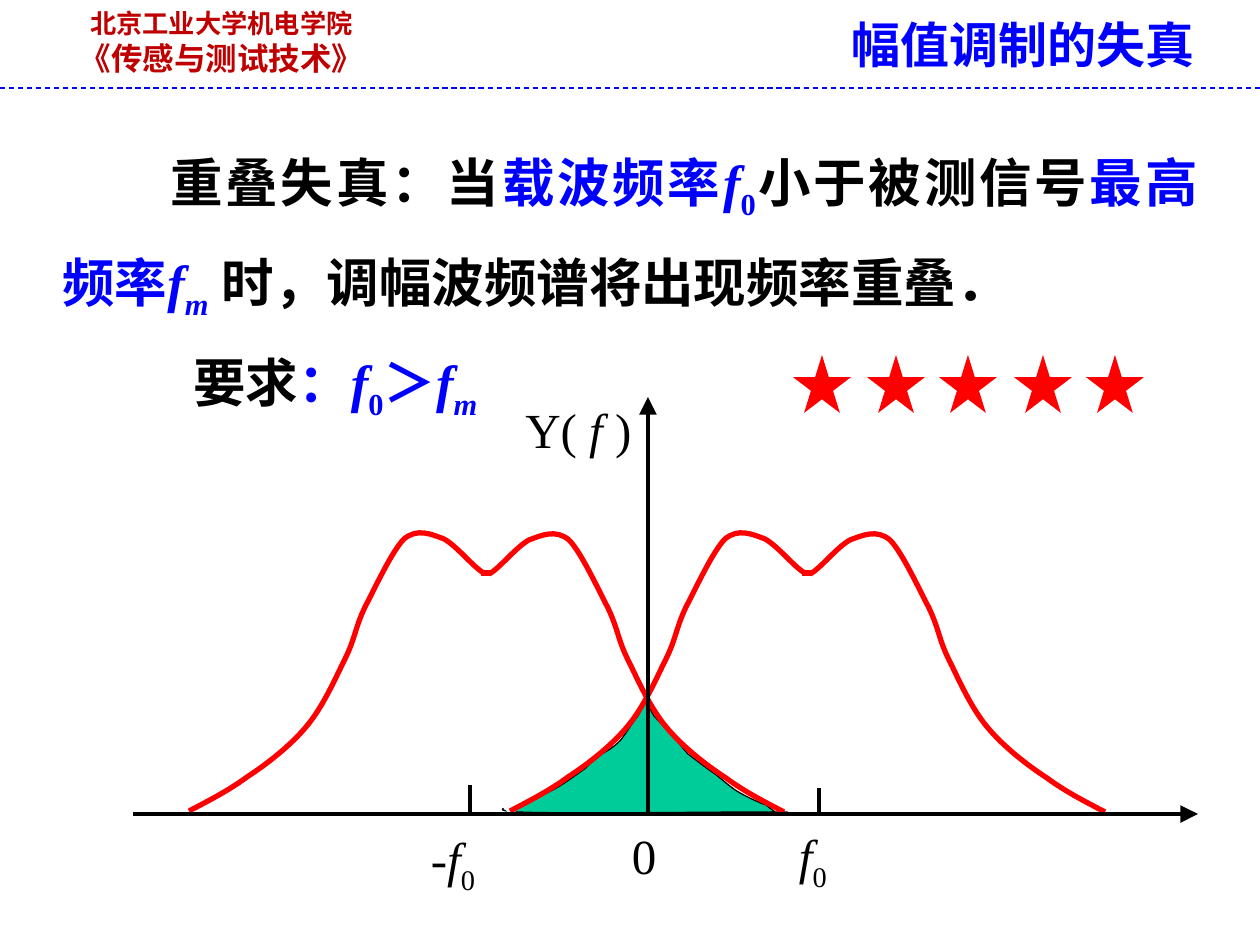
from lxml.etree import SubElement
from pptx import Presentation
from pptx.dml.color import RGBColor
from pptx.enum.dml import MSO_LINE
from pptx.enum.shapes import MSO_CONNECTOR, MSO_SHAPE
from pptx.enum.text import MSO_ANCHOR, MSO_AUTO_SIZE, PP_ALIGN
from pptx.oxml.ns import qn
from pptx.util import Emu, Pt

BLACK, BLUE, RED, WHITE = "000000", "0000FF", "FF0000", "FFFFFF"
DARK_RED, GREEN = "C00000", "00CC99"
LATIN, CHINESE = "Times New Roman", "Noto Sans CJK SC"

# Rising half of one hump: a start point, then three points per Bézier curve
HALF_HUMP = [
    (0, 283), (19, 273), (39, 263), (58, 249), (78, 236), (101, 218), (117, 199),
    (134, 179), (146, 151), (156, 131), (166, 111), (166, 100), (176, 79),
    (186, 60), (203, 23), (215, 11), (228, 0), (242, 6), (255, 11),
    (268, 18), (285, 40), (295, 45)]
OVERLAP = [
    (38, 110), (0, 108), (48, 102), (55, 97), (63, 93), (73, 89), (81, 84),
    (89, 79), (100, 71), (107, 66), (113, 59), (118, 57), (123, 52),
    (130, 48), (135, 45), (141, 39), (146, 33), (154, 20), (159, 14),
    (163, 8), (164, 0), (166, 0), (170, 0), (171, 8), (175, 14),
    (180, 19), (186, 26), (193, 33), (198, 39), (203, 45), (209, 52),
    (217, 58), (227, 66), (236, 72), (244, 78), (252, 86), (261, 91),
    (270, 96), (281, 101), (287, 103), (292, 107), (296, 110), (296, 110),
    (296, 111), (330, 110), (287, 110), (244, 110), (77, 112), (38, 110)]


def px(length):
    return Emu(round(length * 914400 / 126))


def color(value):
    return RGBColor.from_string(value)


def add_span(para, text, size=28, fill=BLACK, bold=False, italic=False,
             sub=False, latin=LATIN):
    span = para.add_run()
    span.text = text
    font = span.font
    font.size, font.bold, font.italic = Pt(size), bold, italic
    font.color.rgb = color(fill)
    font.name = latin
    props = span._r.get_or_add_rPr()
    SubElement(props, qn("a:ea")).set("typeface", CHINESE)
    if sub:
        props.set("baseline", "-25000")


def add_text_box(page, left, top, width, height, tight=False):
    frame = page.shapes.add_textbox(px(left), px(top), px(width), px(height)).text_frame
    frame.word_wrap = not tight
    if tight:
        frame.margin_left = frame.margin_right = frame.margin_top = frame.margin_bottom = 0
    return frame


def add_line(page, start, end, stroke=BLACK, weight=2, dashed=False, arrow=False):
    line = page.shapes.add_connector(
        MSO_CONNECTOR.STRAIGHT, *map(px, (*start, *end)))
    line.line.color.rgb = color(stroke)
    line.line.width = Pt(weight)
    if dashed:
        line.line.dash_style = MSO_LINE.DASH
    props = line._element.spPr
    if arrow:
        head = SubElement(props.find(qn("a:ln")), qn("a:tailEnd"))
        for name, value in (("type", "triangle"), ("w", "lg"), ("len", "lg")):
            head.set(name, value)
    SubElement(props, qn("a:effectLst"))


def add_block(page, kind, left, top, width, height, fill):
    block = page.shapes.add_shape(kind, px(left), px(top), px(width), px(height))
    block.shadow.inherit = False
    block.fill.solid()
    block.fill.fore_color.rgb = color(fill)
    block.line.fill.background()
    return block


def add_curve(page, points, stroke, weight, fill, close=False):
    """Draw a chain of cubic curves: a start point, then three points for each."""
    outline = [(px(x), px(y)) for x, y in points]
    builder = page.shapes.build_freeform(*outline[0], scale=1.0)
    builder.add_line_segments(outline[1:], close=close)
    curve = builder.convert_to_shape()
    segments = list(curve._element.iter(qn("a:lnTo")))
    for first in range(0, len(segments), 3):
        cubic, *others = segments[first:first + 3]
        cubic.tag = qn("a:cubicBezTo")
        for segment in others:
            cubic.append(segment[0])
            segment.getparent().remove(segment)
    curve.shadow.inherit = False
    curve.fill.solid()
    curve.fill.fore_color.rgb = color(fill)
    curve.line.color.rgb = color(stroke)
    curve.line.width = Pt(weight)


def add_header(page, left, top, width, height):
    title = page.shapes.title
    title.left, title.top = px(left + 839), px(top + 8)
    title.width, title.height = px(398), px(72)
    frame = title.text_frame
    frame.auto_size = MSO_AUTO_SIZE.NONE
    frame.vertical_anchor = MSO_ANCHOR.TOP
    frame.paragraphs[0].alignment = PP_ALIGN.LEFT
    add_span(frame.paragraphs[0], "幅值调制的失真", fill=BLUE, bold=True)

    frame = add_text_box(page, left + 64, top + 1, 315, 83)
    course = (("北京工业大学机电学院", 15), ("《传感与测试技术》", 18))
    for index, (text, size) in enumerate(course):
        para = frame.add_paragraph() if index else frame.paragraphs[0]
        para.alignment = PP_ALIGN.CENTER
        add_span(para, text, size=size, fill=DARK_RED, bold=True, latin=CHINESE)
    add_line(page, (left, top + height), (left + width, top + height),
             BLUE, 0.75, dashed=True)


def add_statement(page, left, top, width, height):
    frame = add_text_box(page, left, top, width, height)
    symbol, index = {"fill": BLUE, "italic": True}, {"fill": BLUE, "sub": True}
    italic_index = {**symbol, "sub": True}
    condition = [
        ("重叠失真：当", {}), ("载波频率", {"fill": BLUE}), ("f", symbol), ("0", index),
        ("小于被测信号", {}), ("最高频率", {"fill": BLUE}), ("f", symbol),
        ("m", italic_index), (" 时，调幅波频谱将出现频率重叠．", {})]
    requirement = [
        ("要求", {}), ("：", {"fill": BLUE}), ("f", symbol), ("0", index),
        ("＞", {"fill": BLUE}), ("f", symbol), ("m", italic_index)]
    rows = ((condition, 108, PP_ALIGN.JUSTIFY), (requirement, 131, PP_ALIGN.LEFT))
    for number, (spans, indent, alignment) in enumerate(rows):
        para = frame.add_paragraph() if number else frame.paragraphs[0]
        para.alignment, para.line_spacing = alignment, 1.4
        para._p.get_or_add_pPr().set("indent", str(px(indent)))
        for text, style in spans:
            add_span(para, text, size=30, bold=True, **style)


def add_stars(page, left, top, size):
    stars = page.shapes.add_group_shape()
    for offset in (0, 74, 146, 221, 293):
        add_block(stars, MSO_SHAPE.STAR_5_POINT, left + offset, top, size, size, RED)


def add_spectrum(page, left, top, width, height):
    """Two humps mirrored about the vertical axis, overlapping at the origin."""
    chart = page.shapes.add_group_shape()
    center, base = left + 515, top + height
    add_curve(chart, [(left + 346 + x, base - 112 + y) for x, y in OVERLAP],
              BLACK, 0.75, GREEN, close=True)
    cover = add_block(chart, MSO_SHAPE.RECTANGLE, left + 368, base - 23, 24, 19, WHITE)
    cover.rotation = 314.1

    starts = (left + 56, left + 377)
    for start, opposite in zip(starts, reversed(starts)):
        rising = [(start + x, base - 286 + y) for x, y in HALF_HUMP]
        falling = [(2 * center - 2 - opposite - x, base - 285 + y) for x, y in HALF_HUMP]
        add_curve(chart, rising, RED, 3, WHITE)
        add_curve(chart, falling, RED, 3, WHITE)
        add_line(chart, (start + 292, base - 241), (start + 302, base - 241), RED, 3)

    add_line(chart, (left, base), (left + width, base), arrow=True)
    add_line(chart, (center, base - 2), (center, top), arrow=True)
    add_line(chart, (left + 337, base - 2), (left + 337, base - 29))
    add_line(chart, (left + 686, base), (left + 686, base - 26))

    f, zero = ("f", {"italic": True}), ("0", {"sub": True})
    labels = [
        (380, -4, 147, 72, False, [("Y( ", {}), ("f ", {"italic": True}), (")", {})]),
        (298, 432, 60, 77, True, [("-", {}), f, zero]),
        (666, 429, 39, 77, True, [f, zero]),
        (499, 429, 32, 77, True, [("0", {})])]
    for x, y, label_width, label_height, tight, spans in labels:
        frame = add_text_box(chart, left + x, top + y, label_width, label_height, tight)
        for text, style in spans:
            add_span(frame.paragraphs[0], text, **style)


def main():
    deck = Presentation()
    deck.slide_width, deck.slide_height = px(1260), px(945)
    page = deck.slides.add_slide(deck.slide_layouts[5])
    add_header(page, 0, 0, 1260, 88)
    add_statement(page, 50, 115, 1160, 280)
    add_spectrum(page, 133, 397, 1065, 417)
    add_stars(page, 793, 355, 58)
    deck.save("out.pptx")


if __name__ == "__main__":
    main()
